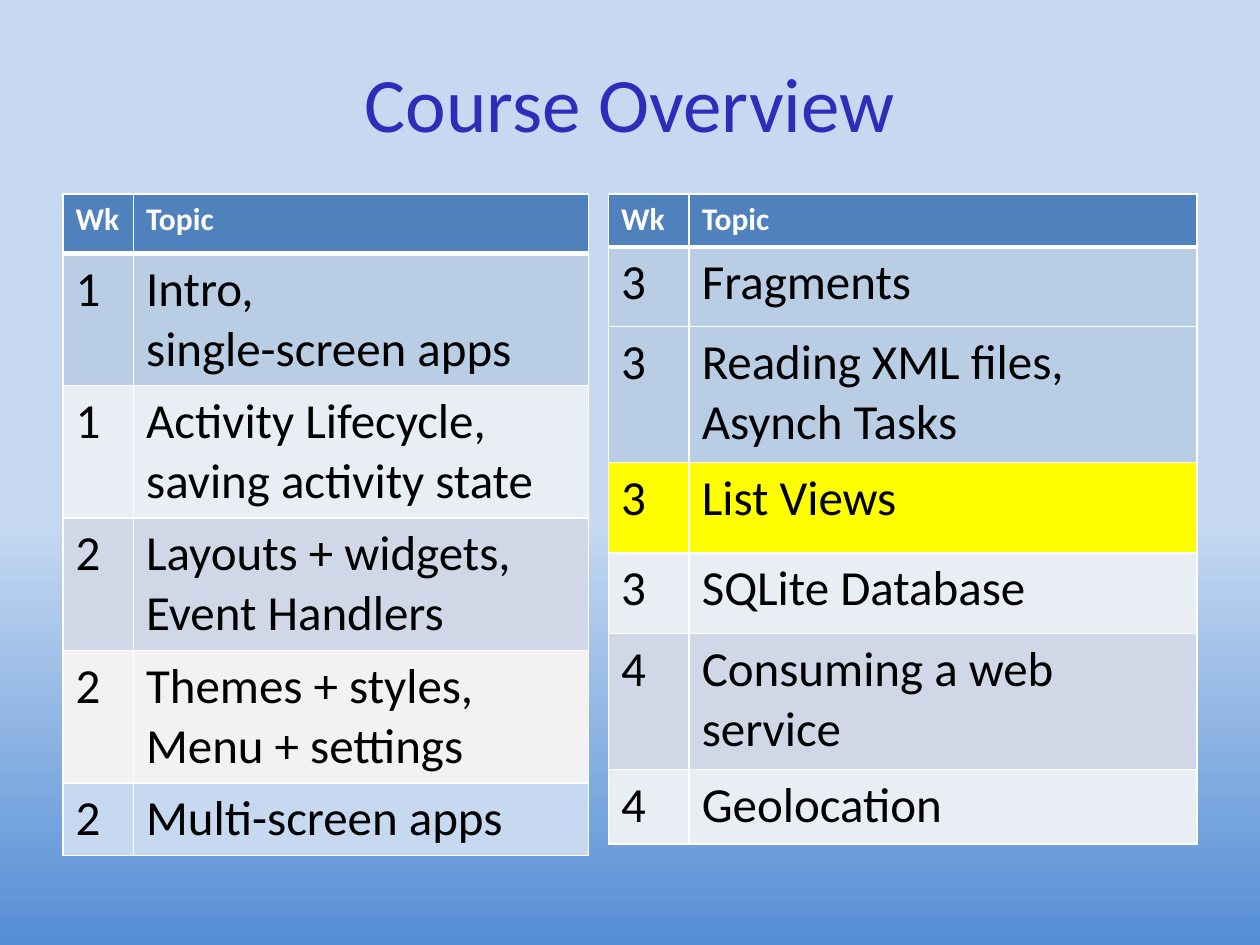
from lxml import etree
from pptx import Presentation
from pptx.dml.color import RGBColor
from pptx.enum.text import MSO_ANCHOR, PP_ALIGN
from pptx.oxml.ns import qn
from pptx.util import Inches, Pt

MIDDLE = MSO_ANCHOR.MIDDLE
CENTER = PP_ALIGN.CENTER

FONT = "Calibri"
WHITE = RGBColor(0xFF, 0xFF, 0xFF)
BLACK = RGBColor(0x00, 0x00, 0x00)
INDIGO = RGBColor(0x2D, 0x2D, 0xB9)
HEAD = RGBColor(0x4F, 0x81, 0xBD)
STEEL = RGBColor(0xB9, 0xCD, 0xE5)
PALE = RGBColor(0xE9, 0xED, 0xF4)
MIST = RGBColor(0xD0, 0xD8, 0xE8)
GRAY = RGBColor(0xF2, 0xF2, 0xF2)
SKY = RGBColor(0xC6, 0xD9, 0xF1)
DEEP = RGBColor(0x55, 0x8E, 0xD5)
YELLOW = RGBColor(0xFF, 0xFF, 0x00)

TITLE_FONT = {"name": FONT, "size": Pt(44), "bold": False}
HEAD_FONT = {"name": FONT, "size": Pt(18), "bold": True}
BODY_FONT = {"name": FONT, "size": Pt(28), "bold": False}

# "\n" starts a paragraph, "\v" breaks a line
TABLES = [
    {
        "left": 0.5,
        "cols": [0.56, 3.61],
        "heights": [0.47] * 6,
        "rows": [
            ("1", "Intro, \vsingle-screen apps", STEEL),
            ("1", "Activity Lifecycle, saving activity state", PALE),
            ("2", "Layouts + widgets,\nEvent Handlers", MIST),
            ("2", "Themes + styles,\nMenu + settings", GRAY),
            ("2", "Multi-screen apps", SKY),
        ],
    },
    {
        "left": 4.83,
        "cols": [0.64, 4.03],
        "heights": [0.42, 0.63, 1.08, 0.72, 0.64, 1.08, 0.59],
        "rows": [
            ("3", "Fragments", STEEL),
            ("3", "Reading XML files,\nAsynch Tasks", STEEL),
            ("3", "List Views", YELLOW),
            ("3", "SQLite Database", PALE),
            ("4", "Consuming a web service", MIST),
            ("4", "Geolocation", PALE),
        ],
    },
]


def style(frame, look, color):
    """Apply font values and a colour to every run of a text frame."""
    for para in frame.paragraphs:
        for run in para.runs:
            for key, value in look.items():
                setattr(run.font, key, value)
            run.font.color.rgb = color


def add_edges(cell, widths):
    """Draw white cell borders; widths maps each side's tag to points."""
    props = cell._tc.get_or_add_tcPr()
    for tag, width in widths.items():
        line = etree.SubElement(props, qn(tag), w=str(Pt(width)))
        fill = etree.SubElement(line, qn("a:solidFill"))
        etree.SubElement(fill, qn("a:srgbClr"), val=str(WHITE))


prs = Presentation()
prs.slide_width = Inches(10)
prs.slide_height = Inches(7.5)
slide = prs.slides.add_slide(prs.slide_layouts[5])

back = slide.background.fill
back.gradient()
back.gradient_angle = 270
for stop, place, color in zip(back.gradient_stops, (0.55, 1), (SKY, DEEP)):
    stop.position = place
    stop.color.rgb = color

title = slide.shapes.title
title.left, title.top = Inches(0.5), Inches(0.3)
title.width, title.height = Inches(9), Inches(1.02)
title.text_frame.text = "Course Overview"
title.text_frame.vertical_anchor = MIDDLE
title.text_frame.paragraphs[0].alignment = CENTER
style(title.text_frame, TITLE_FONT, INDIGO)

for data in TABLES:
    rows = [("Wk", "Topic", HEAD)] + data["rows"]
    table = slide.shapes.add_table(
        len(rows), 2, Inches(data["left"]), Inches(1.54),
        Inches(sum(data["cols"])), Inches(sum(data["heights"])),
    ).table
    for col, width in zip(table.columns, data["cols"]):
        col.width = Inches(width)
    for row, height in zip(table.rows, data["heights"]):
        row.height = Inches(height)

    for r, (week, topic, color) in enumerate(rows):
        look, ink = (BODY_FONT, BLACK) if r else (HEAD_FONT, WHITE)
        edges = {
            "a:lnL": 1,
            "a:lnR": 1,
            "a:lnT": 3 if r == 1 else 1,
            "a:lnB": 1 if r else 3,
        }
        for c, text in enumerate((week, topic)):
            cell = table.cell(r, c)
            cell.text_frame.text = text
            style(cell.text_frame, look, ink)
            add_edges(cell, edges)
            cell.fill.solid()
            cell.fill.fore_color.rgb = color

prs.save("out.pptx")
